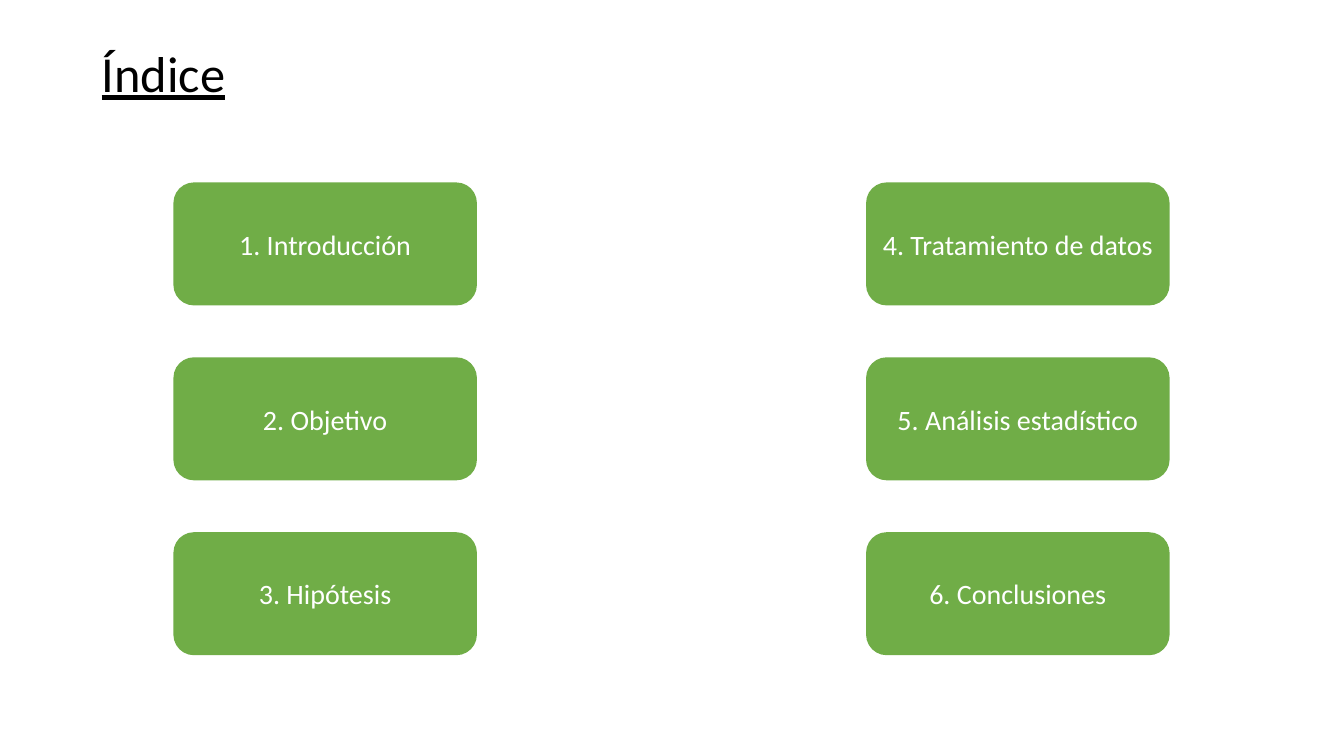
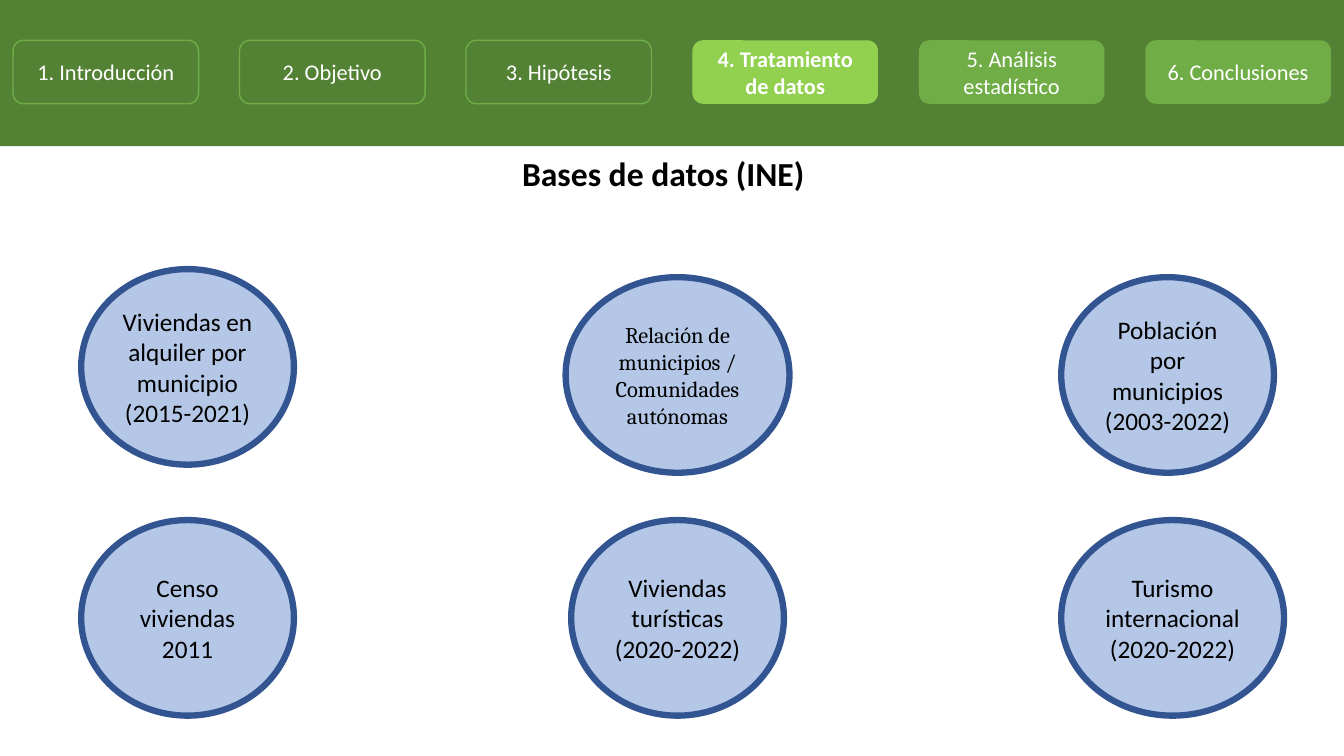
from dataclasses import dataclass
from typing import Optional

from pptx import Presentation, util as u
from pptx.dml.color import RGBColor
from pptx.enum import shapes, text

SLIDE_W, SLIDE_H = 13.33, 7.5
COLORS = {
    "band": "548235",
    "green": "70AD47",
    "current": "92D050",
    "circle": "B4C7E7",
    "ring": "325491",
    "white": "FFFFFF",
    "black": "000000",
}
TOPICS = [
    "1. Introducción",
    "2. Objetivo",
    "3. Hipótesis",
    "4. Tratamiento de datos",
    "5. Análisis estadístico",
    "6. Conclusiones",
]
SHAPE = shapes.MSO_SHAPE


@dataclass(frozen=True)
class Box:
    left: float
    top: float
    width: float
    height: float

    def emu(self) -> list:
        return [u.Inches(n) for n in (self.left, self.top, self.width, self.height)]


@dataclass(frozen=True)
class TextStyle:
    size: float
    color: str = "white"
    font: str = "Calibri"
    bold: bool = False
    underline: bool = False


@dataclass(frozen=True)
class Look:
    fill: str
    line: Optional[str] = None
    line_width: float = 1


@dataclass(frozen=True)
class Source:
    """A data source, placed by the column and row of its circle."""
    label: str
    col: int
    row: int
    width: float = 2.11
    shift_x: float = 0
    shift_y: float = 0
    style: TextStyle = TextStyle(18, "black")


def rgb(name: str) -> RGBColor:
    return RGBColor.from_string(COLORS[name])


def write(frame, label: str, style: TextStyle, align=None) -> None:
    frame.word_wrap = True
    frame.text = label
    for paragraph in frame.paragraphs:
        paragraph.alignment = align
        for run in paragraph.runs:
            font = run.font
            font.name, font.size = style.font, u.Pt(style.size)
            font.bold, font.underline = style.bold, style.underline
            font.color.rgb = rgb(style.color)


def add_panel(parent, kind, box: Box, look: Look, label: str = "",
              style: TextStyle = TextStyle(18)) -> None:
    panel = parent.shapes.add_shape(kind, *box.emu())
    panel.shadow.inherit = False
    panel.fill.solid()
    panel.fill.fore_color.rgb = rgb(look.fill)
    if look.line:
        panel.line.color.rgb = rgb(look.line)
        panel.line.width = u.Pt(look.line_width)
    else:
        panel.line.fill.background()
    if label:
        panel.text_frame.vertical_anchor = text.MSO_ANCHOR.MIDDLE
        write(panel.text_frame, label, style, text.PP_ALIGN.CENTER)


def add_heading(slide, box: Box, label: str, style: TextStyle) -> None:
    heading = slide.shapes.add_textbox(*box.emu())
    write(heading.text_frame, label, style)
    heading.text_frame.auto_size = text.MSO_AUTO_SIZE.SHAPE_TO_FIT_TEXT


def add_topic_band(slide, current: int) -> None:
    """Band with all topics: past ones outlined, the current one bright."""
    band = slide.shapes.add_group_shape()
    add_panel(band, SHAPE.RECTANGLE, Box(0, 0, SLIDE_W, 1.45), Look("band"))
    margin, width = 0.13, 1.84
    pitch = (SLIDE_W - 2 * margin - width) / (len(TOPICS) - 1)
    for i, topic in enumerate(TOPICS):
        if i < current:
            look = Look("band", "green")
        else:
            look = Look("current" if i == current else "green")
        add_panel(band, SHAPE.ROUNDED_RECTANGLE,
                  Box(margin + i * pitch, 0.4, width, 0.63),
                  look, topic, TextStyle(16, bold=i == current))


def build_index(slide) -> None:
    add_heading(slide, Box(0.91, 0.37, 1.82, 0.71), "Índice",
                TextStyle(36, "black", underline=True))
    rows = 3
    for i, topic in enumerate(TOPICS):
        col, row = divmod(i, rows)
        box = Box(1.72 + 6.87 * col, 1.81 + 1.735 * row, 3.01, 1.22)
        add_panel(slide, SHAPE.ROUNDED_RECTANGLE, box, Look("green"),
                  topic, TextStyle(20))


def build_sources(slide) -> None:
    add_topic_band(slide, current=3)
    add_heading(slide, Box(5.08, 1.47, 3.17, 0.5), "Bases de datos (INE)",
                TextStyle(24, "black", bold=True))
    sources = [
        Source("Viviendas en alquiler por municipio\n(2015-2021)", 0, 0, shift_y=-0.08),
        Source("Relación de municipios / Comunidades autónomas", 1, 0, width=2.22,
               style=TextStyle(16, "black", "Cambria")),
        Source("Población por municipios\n(2003-2022)", 2, 0),
        Source("Censo viviendas 2011", 0, 1),
        Source("Viviendas turísticas (2020-2022)", 1, 1),
        Source("Turismo internacional (2020-2022)", 2, 1, width=2.21, shift_x=0.05),
    ]
    # Circles are centred on three columns
    for source in sources:
        center = 1.86 + 4.86 * source.col + source.shift_x
        box = Box(center - source.width / 2, 2.75 + 2.41 * source.row + source.shift_y,
                  source.width, 1.94)
        add_panel(slide, SHAPE.OVAL, box, Look("circle", "ring", 4.5),
                  source.label, source.style)


def main() -> None:
    deck = Presentation()
    deck.slide_width, deck.slide_height = u.Inches(SLIDE_W), u.Inches(SLIDE_H)
    blank = deck.slide_layouts[6]
    for build in (build_index, build_sources):
        build(deck.slides.add_slide(blank))
    deck.save("out.pptx")


if __name__ == "__main__":
    main()
